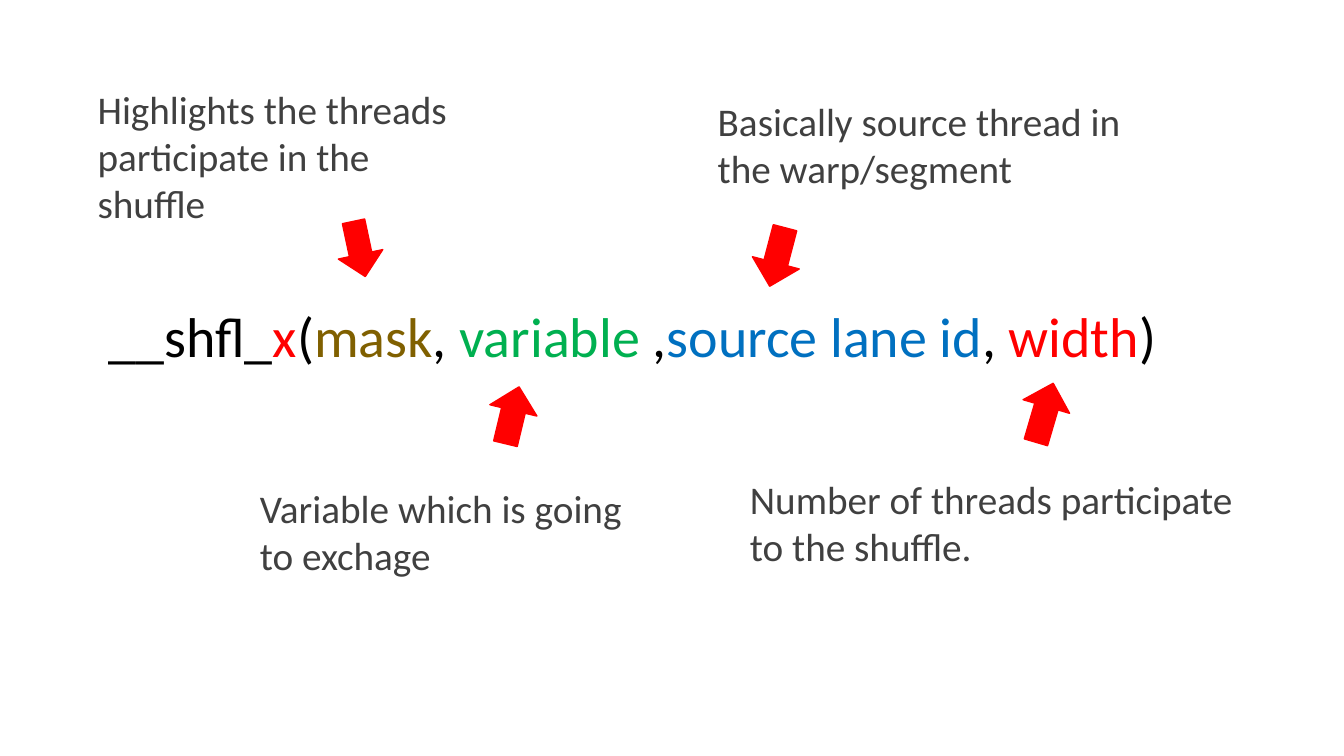
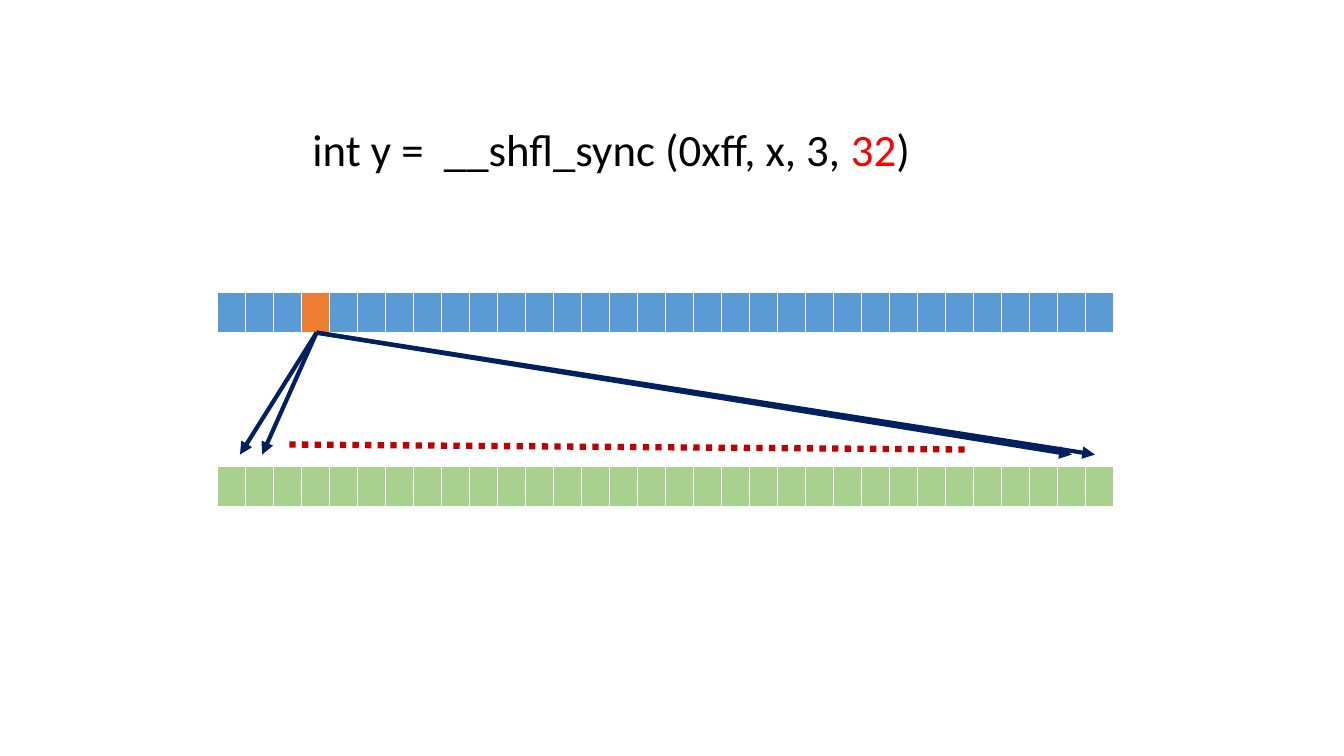
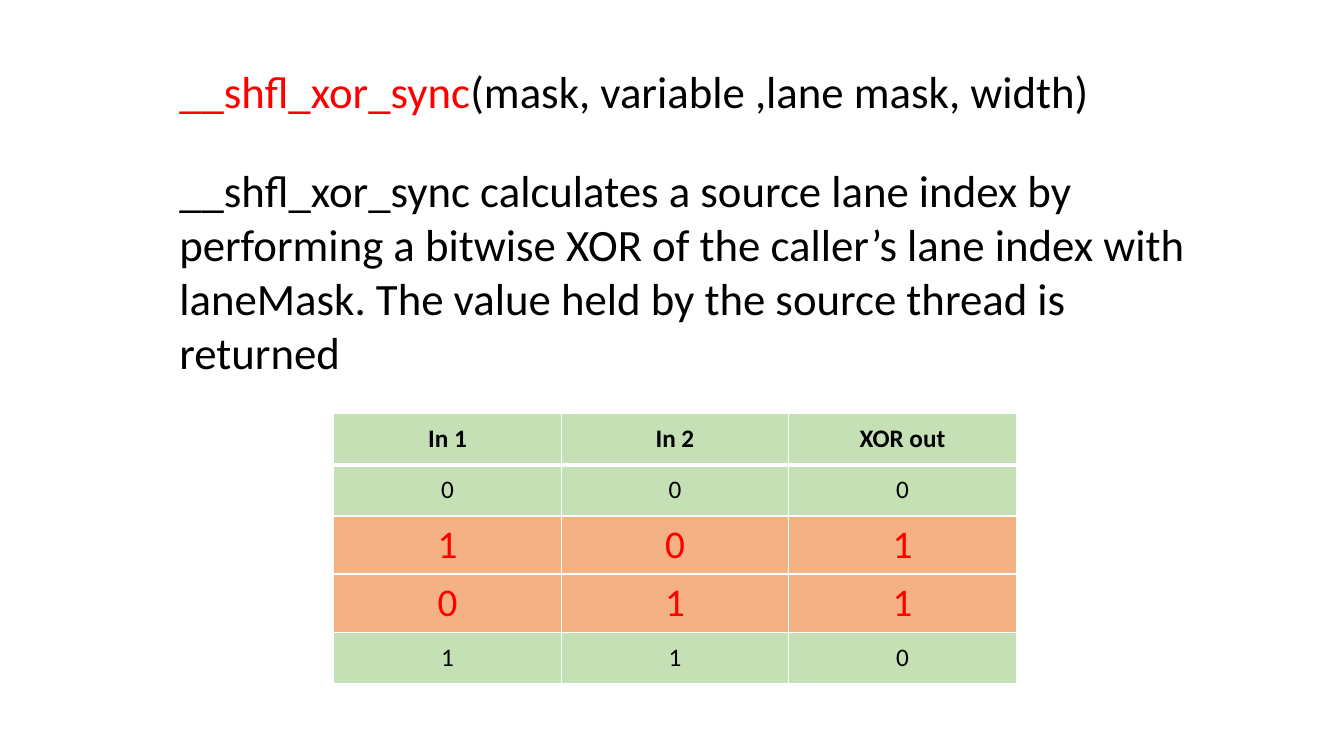
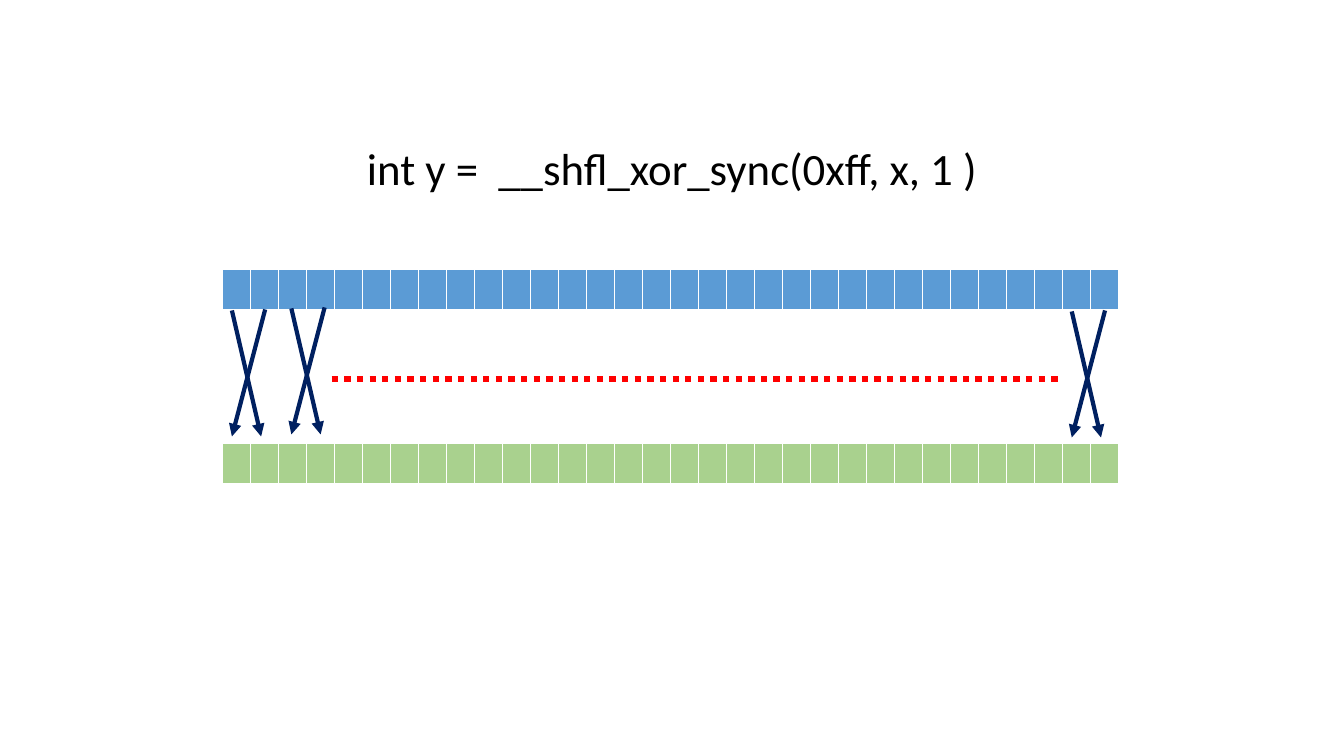
from lxml.etree import SubElement
from pptx import Presentation
from pptx.dml.color import RGBColor
from pptx.enum.dml import MSO_LINE
from pptx.enum.shapes import MSO_CONNECTOR, MSO_SHAPE
from pptx.enum.text import MSO_ANCHOR, MSO_AUTO_SIZE, PP_ALIGN
from pptx.oxml.ns import qn
from pptx.util import Emu, Pt

EMU_PER_PX = 9144
FONT = "Calibri"
BLACK, WHITE, RED = "000000", "FFFFFF", "FF0000"
GREY, NAVY, DARK_RED = "404040", "002060", "C00000"
BLUE, GREEN, ORANGE = "5B9BD5", "A9D18E", "ED7D31"
PALE_GREEN, PALE_ORANGE = "C5E0B4", "F4B183"
LANES = 32
STRIP_WIDTH, STRIP_HEIGHT, STRIP_STEP = 889, 41, 173


def px(length):
    return Emu(round(length * EMU_PER_PX))


def color(value):
    return RGBColor.from_string(value)


def add_run(paragraph, text, size, run_color, bold=False):
    run = paragraph.add_run()
    run.text = text
    run.font.name = FONT
    run.font.size = Pt(size)
    run.font.bold = bold
    run.font.color.rgb = color(run_color)


def add_text(slide, left, top, width, height, runs, size, spacing=1.0):
    shape = slide.shapes.add_textbox(px(left), px(top), px(width), px(height))
    frame = shape.text_frame
    frame.word_wrap = True
    frame.auto_size = MSO_AUTO_SIZE.NONE
    paragraph = frame.paragraphs[0]
    paragraph.line_spacing = spacing
    for text, run_color in runs:
        add_run(paragraph, text, size, run_color)


def add_block_arrow(slide, left, top, width, height, rotation):
    shape = slide.shapes.add_shape(
        MSO_SHAPE.DOWN_ARROW, px(left), px(top), px(width), px(height))
    shape.rotation = rotation
    shape.shadow.inherit = False
    shape.fill.solid()
    shape.fill.fore_color.rgb = color(RED)
    shape.line.color.rgb = color(RED)
    shape.line.width = Pt(1)


def add_line(slide, start, end, line_color, width):
    connector = slide.shapes.add_connector(
        MSO_CONNECTOR.STRAIGHT, *map(px, start + end))
    connector.line.color.rgb = color(line_color)
    connector.line.width = Pt(width)
    SubElement(connector._element.spPr, qn("a:effectLst"))
    return connector


def add_arrow(slide, start, end):
    connector = add_line(slide, start, end, NAVY, 3)
    SubElement(connector.line._get_or_add_ln(), qn("a:tailEnd"), type="triangle")


def add_dots(slide, start, end, line_color):
    connector = add_line(slide, start, end, line_color, 4.5)
    connector.line.dash_style = MSO_LINE.ROUND_DOT


def style_cell(cell, fill, top=1, bottom=1):
    properties = cell._tc.get_or_add_tcPr()
    for side, width in (("L", 1), ("R", 1), ("T", top), ("B", bottom)):
        border = SubElement(properties, qn(f"a:ln{side}"), w=str(Pt(width)))
        solid = SubElement(border, qn("a:solidFill"))
        SubElement(solid, qn("a:srgbClr"), val=WHITE)
    cell.fill.solid()
    cell.fill.fore_color.rgb = color(fill)


def add_table(slide, rows, columns, left, top, width, row_height):
    table = slide.shapes.add_table(
        rows, columns, px(left), px(top), px(width), px(row_height * rows)).table
    for column in table.columns:
        column.width = px(width / columns)
    return table


def add_strip(slide, left, top, fill, source_lane=None):
    table = add_table(slide, 1, LANES, left, top, STRIP_WIDTH, STRIP_HEIGHT)
    for lane in range(LANES):
        style_cell(table.cell(0, lane), ORANGE if lane == source_lane else fill, bottom=3)


def add_warp(slide, left, top, source_lane=None):
    add_strip(slide, left, top, BLUE, source_lane)
    add_strip(slide, left, top + STRIP_STEP, GREEN)


def add_truth_table(slide, left, top, width, row_height):
    rows = [("In 1", "In 2", "XOR out")]
    rows += [(str(a), str(b), str(a ^ b)) for a, b in ((0, 0), (1, 0), (0, 1), (1, 1))]
    table = add_table(slide, len(rows), 3, left, top, width, row_height)
    for row, values in enumerate(rows):
        differs = values[2] == "1"
        for column, value in enumerate(values):
            cell = table.cell(row, column)
            style_cell(cell, PALE_ORANGE if differs else PALE_GREEN,
                       top=3 if row == 1 else 1, bottom=3 if row == 0 else 1)
            cell.vertical_anchor = MSO_ANCHOR.MIDDLE
            paragraph = cell.text_frame.paragraphs[0]
            paragraph.alignment = PP_ALIGN.CENTER
            add_run(paragraph, value, 28 if differs else 18,
                    RED if differs else BLACK, bold=row == 0)


def build_signature(slide):
    add_text(slide, 98, 302, 1183, 121, [
        ("__shfl_", BLACK), ("x", RED), ("(", BLACK), ("mask", "806000"),
        (", ", BLACK), ("variable ", "00B050"), (",", BLACK),
        ("source lane id", "0070C0"), (", ", BLACK), ("width", RED), (")", BLACK),
    ], 40, 0.9)
    for left, top, width, height, text in (
        (87, 80, 380, 151, "Highlights the threads participate in the shuffle"),
        (248, 476, 380, 104, "Variable which is going to exchage"),
        (702, 92, 423, 104, "Basically source thread in the warp/segment"),
        (734, 467, 506, 104, "Number of threads participate to the shuffle."),
    ):
        add_text(slide, left, top, width, height, [(text, GREY)], 28)
    for arrow in (
        (334, 219, 45, 56, 348),
        (484, 383, 48, 58, 193.5),
        (747, 225, 48, 60, 14.7),
        (1012, 379, 48, 61, 196.3),
    ):
        add_block_arrow(slide, *arrow)


def build_broadcast(slide):
    add_warp(slide, 216, 290, source_lane=3)
    for target in (238, 260, 1063, 1086):
        add_arrow(slide, (314, 330), (target, 451))
    add_dots(slide, (287, 441), (963, 446), DARK_RED)
    add_text(slide, 290, 116, 797, 64, [
        (" int y =  __shfl_sync (0xff, x, 3, ", BLACK), ("32", RED), (")", BLACK)], 32)


def build_xor_rule(slide):
    add_text(slide, 168, 64, 1183, 121, [
        ("__shfl_xor_sync", RED), ("(mask, variable ,lane mask, width)", BLACK)], 32, 0.9)
    add_text(slide, 168, 157, 1035, 226, [(
        "__shfl_xor_sync calculates a source lane index by performing a bitwise XOR "
        "of the caller’s lane index with laneMask. The value held by the source "
        "thread is returned", BLACK)], 32)
    add_truth_table(slide, 331, 410, 677, 51)


def build_xor_exchange(slide):
    add_warp(slide, 221, 267)
    add_text(slide, 344, 135, 797, 64, [(" int y =  __shfl_xor_sync(0xff, x, 1 )", BLACK)], 32)
    add_dots(slide, (329, 376), (1049, 376), RED)
    for left, top in ((230, 308), (289, 306), (1063, 309)):
        add_arrow(slide, (left + 33, top - 1), (left, top + 125))
        add_arrow(slide, (left, top), (left + 29, top + 125))


def main():
    presentation = Presentation()
    presentation.slide_width = px(1333)
    presentation.slide_height = px(750)
    for build in (build_signature, build_broadcast, build_xor_rule, build_xor_exchange):
        build(presentation.slides.add_slide(presentation.slide_layouts[6]))
    presentation.save("out.pptx")


if __name__ == "__main__":
    main()
